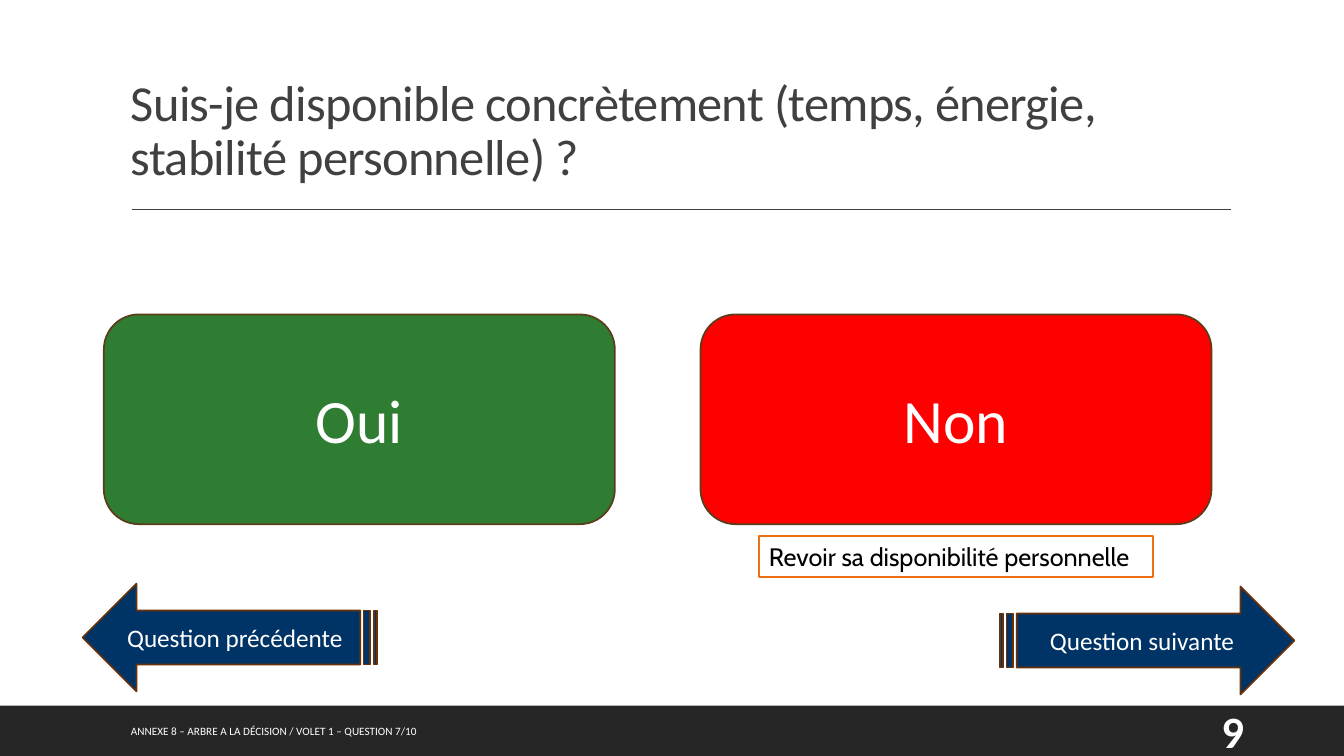
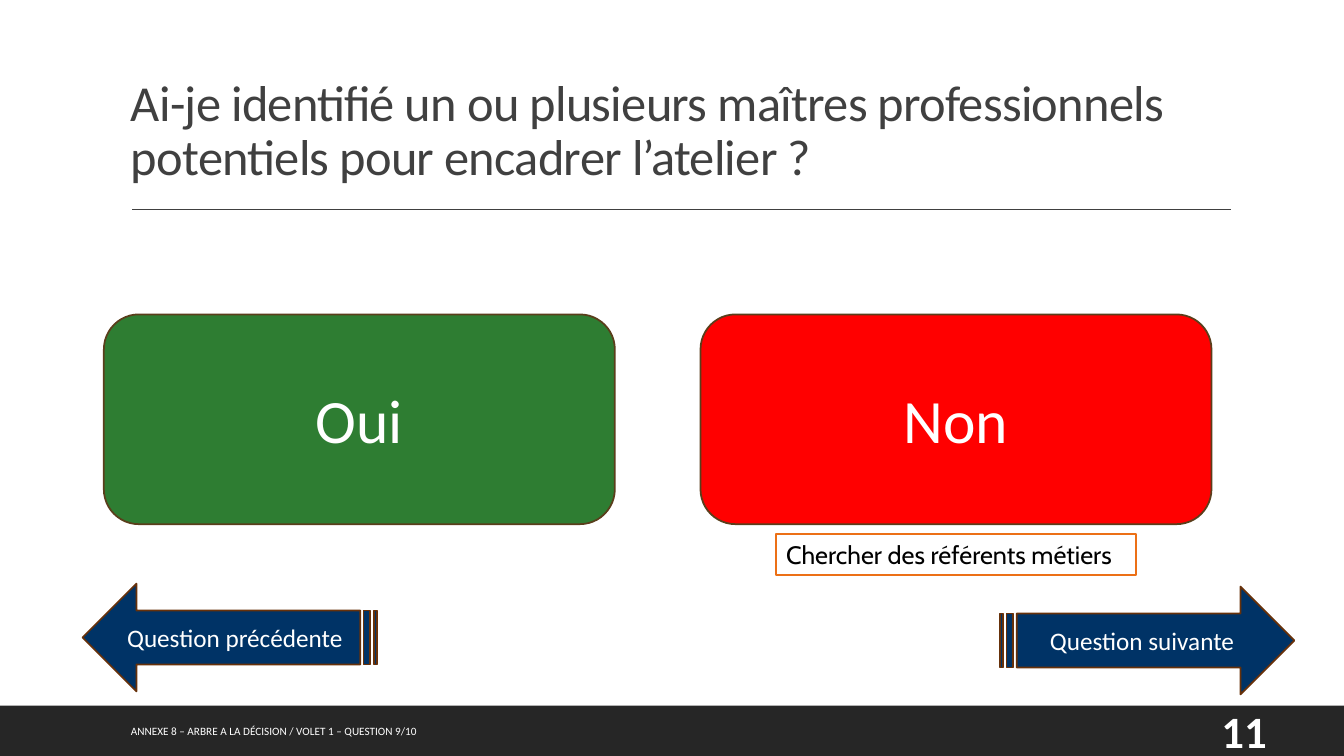
from dataclasses import dataclass

from pptx import Presentation
from pptx import util as u
from pptx.dml import color as col
from pptx.enum import shapes, text
from pptx.oxml import ns, xmlchemy as xml

Pt = u.Pt
Kind = shapes.MSO_SHAPE
Align = text.PP_ALIGN
Anchor = text.MSO_ANCHOR


@dataclass(frozen=True)
class Theme:
    font: str = "Calibri"
    hand: str = "Cabin"
    white: str = "FFFFFF"
    black: str = "000000"
    dark: str = "262626"
    gray: str = "404040"
    green: str = "2E7D32"
    red: str = "FF0000"
    navy: str = "003366"
    brown: str = "5A3E1B"
    rust: str = "67310A"
    orange: str = "EC7016"
    head: int = 36
    vote: int = 44
    page: int = 32
    body: int = 18
    foot: int = 8
    edge: float = 1.25


def rgb(code):
    return col.RGBColor.from_string(code)


def write(frame, words, size, color, font=Theme.font, bold=False,
          align=Align.LEFT, anchor=Anchor.MIDDLE, wrap=True, space=None, track=None):
    frame.word_wrap = wrap
    frame.vertical_anchor = anchor
    para = frame.paragraphs[0]
    para.alignment = align
    if space:
        para.line_spacing = space
    run = para.add_run()
    run.text = words
    run.font.size = Pt(size)
    run.font.name = font
    run.font.bold = bold
    run.font.color.rgb = rgb(color)
    if track:
        run.font._element.set("spc", str(int(track * 100)))


class Deck:
    wide, high = 960, 540
    left, width = 86.4, 792
    gap, vote_x, vote_w = 61.2, 74.2, 365

    def __init__(self, theme):
        self.theme = theme
        self.prs = Presentation()
        self.prs.slide_width = Pt(self.wide)
        self.prs.slide_height = Pt(self.high)
        self.slide = None

    def shape(self, kind, box, fill, line=None):
        item = self.slide.shapes.add_shape(kind, *map(Pt, box))
        item.shadow.inherit = False
        item.fill.solid()
        item.fill.fore_color.rgb = rgb(fill)
        if line:
            item.line.color.rgb = rgb(line)
            item.line.width = Pt(self.theme.edge)
        else:
            item.line.fill.background()
        return item

    def label(self, box, words, size, color, **style):
        item = self.slide.shapes.add_textbox(*map(Pt, box))
        write(item.text_frame, words, size, color, **style)

    def rule(self, x, end, y):
        line = self.slide.shapes.add_connector(
            shapes.MSO_CONNECTOR.STRAIGHT, Pt(x), Pt(y), Pt(end), Pt(y))
        line.line.color.rgb = rgb(self.theme.gray)
        line.line.width = Pt(1)
        line._element.spPr.append(xml.OxmlElement("a:effectLst"))

    def frame(self, title, foot, page):
        t = self.theme
        self.slide = self.prs.slides.add_slide(self.prs.slide_layouts[6])
        self.shape(Kind.RECTANGLE, (0, 504, self.wide, 36), t.dark)
        self.rule(94.5, 879.1, 149.6)
        self.label((self.left, 22.3, self.width, 114.5), title, t.head, t.gray,
                   anchor=Anchor.BOTTOM, space=0.9, track=-0.5)
        self.label((self.left, 507.6, 537.1, 28.8), foot, t.foot, t.white,
                   align=Align.JUSTIFY)
        self.label((865.4, 507.6, 61.2, 28.8), page, t.page, t.white, bold=True)

    def note(self, words, y, width):
        t = self.theme
        mid = self.vote_x + self.vote_w * 1.5 + self.gap
        item = self.shape(Kind.RECTANGLE, (mid - width / 2, y, width, 29),
                          t.white, t.orange)
        write(item.text_frame, words, t.body, t.black, font=t.hand,
              anchor=Anchor.TOP, wrap=False)
        item.text_frame.auto_size = text.MSO_AUTO_SIZE.SHAPE_TO_FIT_TEXT

    def votes(self):
        t = self.theme
        for i, (words, fill) in enumerate((("Oui", t.green), ("Non", t.red))):
            x = self.vote_x + i * (self.vote_w + self.gap)
            item = self.shape(Kind.ROUNDED_RECTANGLE,
                              (x, 224.6, self.vote_w, 149.8), fill, t.brown)
            write(item.text_frame, words, t.vote, t.white, align=Align.CENTER)

    def arrow(self, words, x, y, flip=False):
        t = self.theme
        item = self.shape(Kind.STRIPED_RIGHT_ARROW, (x, y, 210.4, 77),
                          t.navy, t.rust)
        if flip:
            item._element.spPr.find(ns.qn("a:xfrm")).set("flipH", "1")
        write(item.text_frame, words, t.body, t.white, align=Align.CENTER)

    def ask(self, title, step, page, note, y, width):
        self.frame(title, f"ANNEXE 8 – ARBRE A LA DÉCISION / VOLET 1 – QUESTION {step}/10", page)
        self.note(note, y, width)
        self.votes()
        self.arrow("Question suivante", 714.2, 419)
        self.arrow("Question précédente", 59, 416.9, flip=True)


def main():
    deck = Deck(Theme())
    deck.ask("Suis-je disponible concrètement (temps, énergie, stabilité personnelle) ?",
             7, "9", "Revoir sa disponibilité personnelle", 383, 281.5)
    deck.ask("Ai-je identifié un ou plusieurs maîtres professionnels potentiels pour encadrer l’atelier ?",
             9, "11", "Chercher des référents métiers", 381.6, 257)
    deck.prs.save("out.pptx")


if __name__ == "__main__":
    main()
